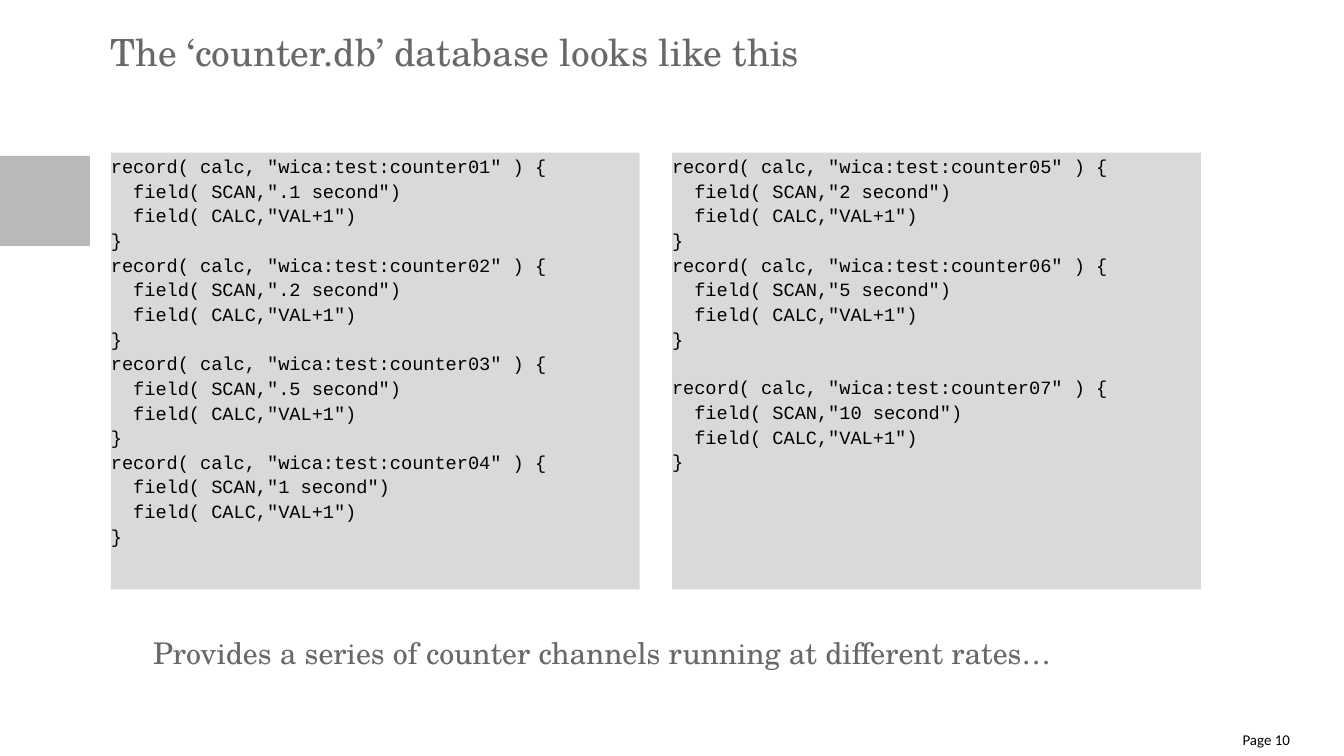
from dataclasses import dataclass

from lxml.etree import SubElement
from pptx import Presentation
from pptx.dml.color import RGBColor
from pptx.enum.shapes import MSO_SHAPE
from pptx.enum.text import MSO_ANCHOR, MSO_AUTO_SIZE, PP_ALIGN
from pptx.oxml.ns import qn
from pptx.shapes.base import BaseShape
from pptx.util import Pt

PX = 4572  # 200 px to the inch
WHITE = RGBColor(0xFF, 0xFF, 0xFF)
BLACK = RGBColor(0x00, 0x00, 0x00)
TEXT_GREY = RGBColor(0x68, 0x68, 0x68)
PANEL_GREY = RGBColor(0xD9, 0xD9, 0xD9)
MARKER_GREY = RGBColor(0xB9, 0xB9, 0xB9)


@dataclass(frozen=True)
class Area:
    left: int
    top: int
    width: int
    height: int

    def emu(self) -> tuple[int, ...]:
        return tuple(side * PX for side in (self.left, self.top, self.width, self.height))


@dataclass(frozen=True)
class Style:
    font: str
    size: int
    color: RGBColor
    align: PP_ALIGN = PP_ALIGN.LEFT
    line_spacing: float = 1.0


@dataclass(frozen=True)
class Record:
    number: int
    scan: str
    gap_before: int = 0

    def lines(self) -> list[str]:
        return [
            f'record( calc, "wica:test:counter{self.number:02d}" ) {{',
            f'  field( SCAN,"{self.scan} second")',
            '  field( CALC,"VAL+1")',
            "}",
        ]


TITLE = Style("TeX Gyre Schola", 20, TEXT_GREY)
CAPTION = Style("TeX Gyre Schola", 16, TEXT_GREY)
CODE = Style("Courier New", 10, BLACK, line_spacing=1.1)
PAGE_NUMBER = Style("Calibri", 8, BLACK, PP_ALIGN.RIGHT)

LEFT_RECORDS = [Record(1, ".1"), Record(2, ".2"), Record(3, ".5"), Record(4, "1")]
RIGHT_RECORDS = [Record(5, "2"), Record(6, "5"), Record(7, "10", gap_before=13)]


def place(shape: BaseShape, area: Area) -> None:
    shape.left, shape.top, shape.width, shape.height = area.emu()


def fill(shape: BaseShape, color: RGBColor) -> None:
    shape.fill.solid()
    shape.fill.fore_color.rgb = color


def write(shape: BaseShape, text: str, style: Style) -> None:
    """Set top-anchored text without insets or bullets."""
    frame = shape.text_frame
    frame.text = text
    frame.word_wrap = True
    frame.auto_size = MSO_AUTO_SIZE.NONE
    frame.vertical_anchor = MSO_ANCHOR.TOP
    frame.margin_left = frame.margin_top = frame.margin_right = frame.margin_bottom = 0
    for paragraph in frame.paragraphs:
        properties = paragraph._p.get_or_add_pPr()
        properties.set("marL", "0")
        properties.set("indent", "0")
        SubElement(properties, qn("a:buNone"))
        paragraph.alignment = style.align
        paragraph.line_spacing = style.line_spacing
        paragraph.space_before = paragraph.space_after = Pt(0)
        for span in paragraph.runs:
            span.font.name = style.font
            span.font.size = Pt(style.size)
            span.font.color.rgb = style.color


def write_records(panel: BaseShape, records: list[Record]) -> None:
    write(panel, "\n".join(line for record in records for line in record.lines()), CODE)
    first_lines = panel.text_frame.paragraphs[:: len(records[0].lines())]
    for paragraph, record in zip(first_lines, records):
        paragraph.space_before = Pt(record.gap_before)


def main() -> None:
    deck = Presentation()
    deck.slide_width, deck.slide_height = 2000 * PX, 1125 * PX
    page = deck.slides.add_slide(deck.slide_layouts[3])
    title, left_panel, right_panel = page.placeholders

    marker = page.shapes.add_shape(MSO_SHAPE.RECTANGLE, *Area(0, 232, 134, 134).emu())
    marker.shadow.inherit = False
    fill(marker, MARKER_GREY)
    marker.line.fill.background()

    place(title, Area(165, 43, 1670, 94))
    fill(title, WHITE)
    write(title, "The ‘counter.db’ database looks like this", TITLE)

    panels = ((left_panel, 165, LEFT_RECORDS), (right_panel, 1000, RIGHT_RECORDS))
    for panel, left, records in panels:
        place(panel, Area(left, 227, 787, 650))
        fill(panel, PANEL_GREY)
        write_records(panel, records)

    caption = page.shapes.add_textbox(*Area(228, 944, 1528, 48).emu())
    fill(caption, WHITE)
    write(caption, "Provides a series of counter channels running at different rates…", CAPTION)

    page_number = page.shapes.add_textbox(*Area(1794, 1087, 126, 32).emu())
    write(page_number, "Page 10", PAGE_NUMBER)

    deck.save("out.pptx")


if __name__ == "__main__":
    main()
